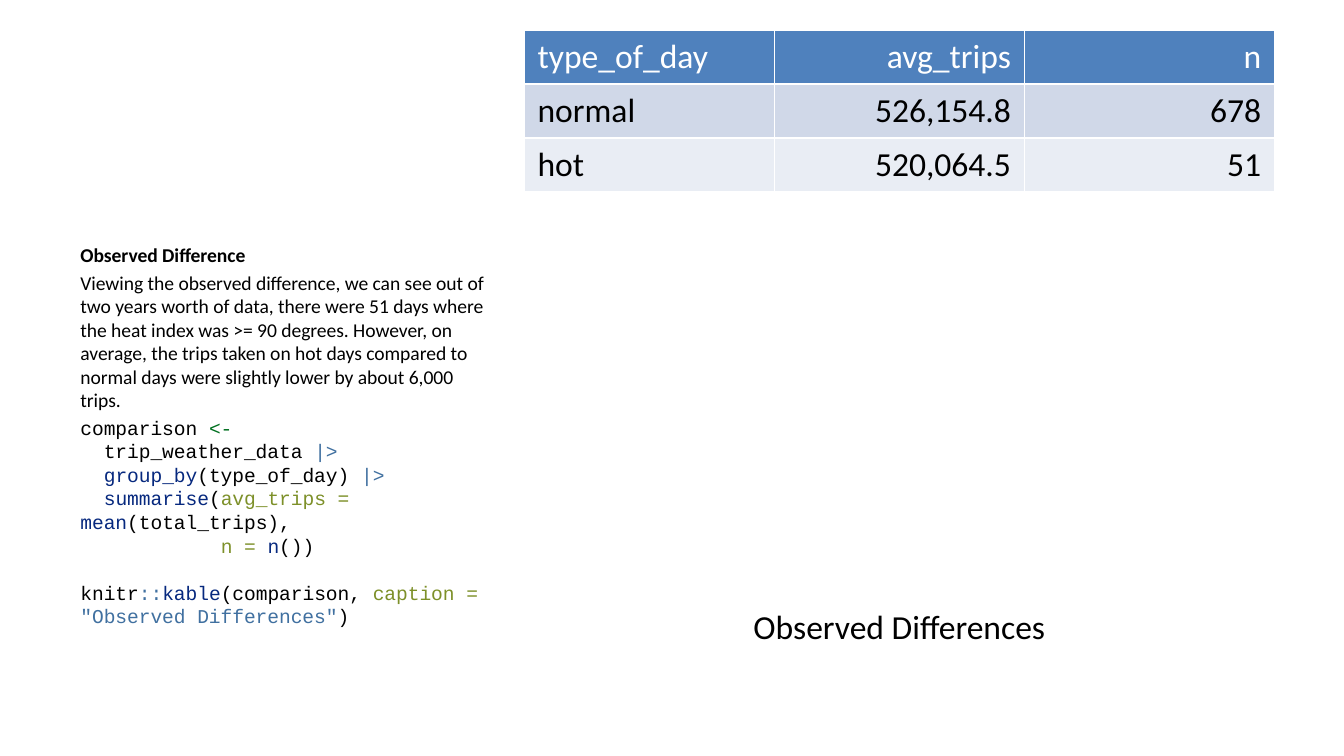
from copy import deepcopy

from pptx import Presentation
from pptx.dml.color import RGBColor
from pptx.enum.text import PP_ALIGN
from pptx.util import Inches, Pt

LEFT, CENTER, RIGHT = PP_ALIGN.LEFT, PP_ALIGN.CENTER, PP_ALIGN.RIGHT
SLIDE_WIDTH = Inches(10)
SLIDE_HEIGHT = SLIDE_WIDTH * 9 // 16
BODY_FONT, CODE_FONT = "Calibri", "Courier New"
BODY_SIZE, LARGE_SIZE = 10.5, 18

COLORS = {
    "text": "000000",
    "header_text": "FFFFFF",
    "header": "4F81BD",
    "band_dark": "D0D8E8",
    "band_light": "E9EDF4",
    "assign": "007020",
    "operator": "4070A0",
    "function": "06287E",
    "argument": "7D9029",
}

HEADING = "Observed Difference"
EXPLANATION = (
    "Viewing the observed difference, we can see out of two years worth of data, "
    "there were 51 days where the heat index was >= 90 degrees. However, on average, "
    "the trips taken on hot days compared to normal days were slightly lower by "
    "about 6,000 trips."
)
CODE = [
    ("comparison ", "text"), ("<-\n", "assign"),
    ("  trip_weather_data ", "text"), ("|> \n  ", "operator"),
    ("group_by", "function"), ("(type_of_day) ", "text"), ("|> \n  ", "operator"),
    ("summarise", "function"), ("(", "text"), ("avg_trips = ", "argument"),
    ("mean", "function"), ("(total_trips),\n            ", "text"),
    ("n = ", "argument"), ("n", "function"), ("())\n\nknitr", "text"),
    ("::", "operator"), ("kable", "function"), ("(comparison, ", "text"),
    ("caption = ", "argument"), ('"Observed Differences"', "operator"), (")", "text"),
]
TABLE_ROWS = [
    ("type_of_day", "avg_trips", "n"),
    ("normal", "526,154.8", "678"),
    ("hot", "520,064.5", "51"),
]
ROW_FILLS = ["header", "band_dark", "band_light"]


def area(left, top, width, height):
    """Turn percentages of the slide into a position and size."""
    return (
        int(SLIDE_WIDTH * left / 100), int(SLIDE_HEIGHT * top / 100),
        int(SLIDE_WIDTH * width / 100), int(SLIDE_HEIGHT * height / 100),
    )


def add_text(paragraph, text, size=BODY_SIZE, font=BODY_FONT, color="text",
             bold=False, align=LEFT):
    """Add formatted text; each newline becomes a line break of the same format."""
    paragraph.alignment = align
    for index, part in enumerate(text.split("\n")):
        if index:
            paragraph.add_line_break()
            paragraph._p[-1].append(deepcopy(run._r.get_or_add_rPr()))
        if index and not part:
            continue
        run = paragraph.add_run()
        run.text = part
        run.font.size = Pt(size)
        run.font.name = font
        run.font.bold = bold
        run.font.color.rgb = RGBColor.from_string(COLORS[color])


def add_text_frame(slide, place):
    text_frame = slide.shapes.add_textbox(*place).text_frame
    text_frame.word_wrap = True
    return text_frame


def add_explanation(slide, place):
    text_frame = add_text_frame(slide, place)
    text_frame.margin_top = Inches(0.63)
    add_text(text_frame.paragraphs[0], HEADING, bold=True)

    explanation = text_frame.add_paragraph()
    explanation.space_before = Pt(2.1)
    add_text(explanation, EXPLANATION)

    code = text_frame.add_paragraph()
    code.space_before = Pt(2.1)
    code.line_spacing = Pt(12.6)
    for text, color in CODE:
        add_text(code, text, font=CODE_FONT, color=color)


def add_summary_table(slide, place):
    table = slide.shapes.add_table(len(TABLE_ROWS), len(TABLE_ROWS[0]), *place).table
    for row, (values, fill) in enumerate(zip(TABLE_ROWS, ROW_FILLS)):
        for column, value in enumerate(values):
            cell = table.cell(row, column)
            cell.fill.solid()
            cell.fill.fore_color.rgb = RGBColor.from_string(COLORS[fill])
            add_text(
                cell.text_frame.paragraphs[0], value, size=LARGE_SIZE,
                color="text" if row else "header_text",
                align=RIGHT if column else LEFT,
            )


def add_caption(slide, place):
    text_frame = add_text_frame(slide, place)
    add_text(text_frame.paragraphs[0], "Observed Differences",
             size=LARGE_SIZE, align=CENTER)


def main():
    presentation = Presentation()
    presentation.slide_width = SLIDE_WIDTH
    presentation.slide_height = SLIDE_HEIGHT
    slide = presentation.slides.add_slide(presentation.slide_layouts[6])

    # Left column: explanation and code
    add_explanation(slide, area(5, 21, 32.9, 68.4))

    # Right column: table with its caption
    add_summary_table(slide, area(39, 4, 55.85, 17.25))
    add_caption(slide, area(39, 79.3, 55.85, 10))

    presentation.save("out.pptx")


if __name__ == "__main__":
    main()
